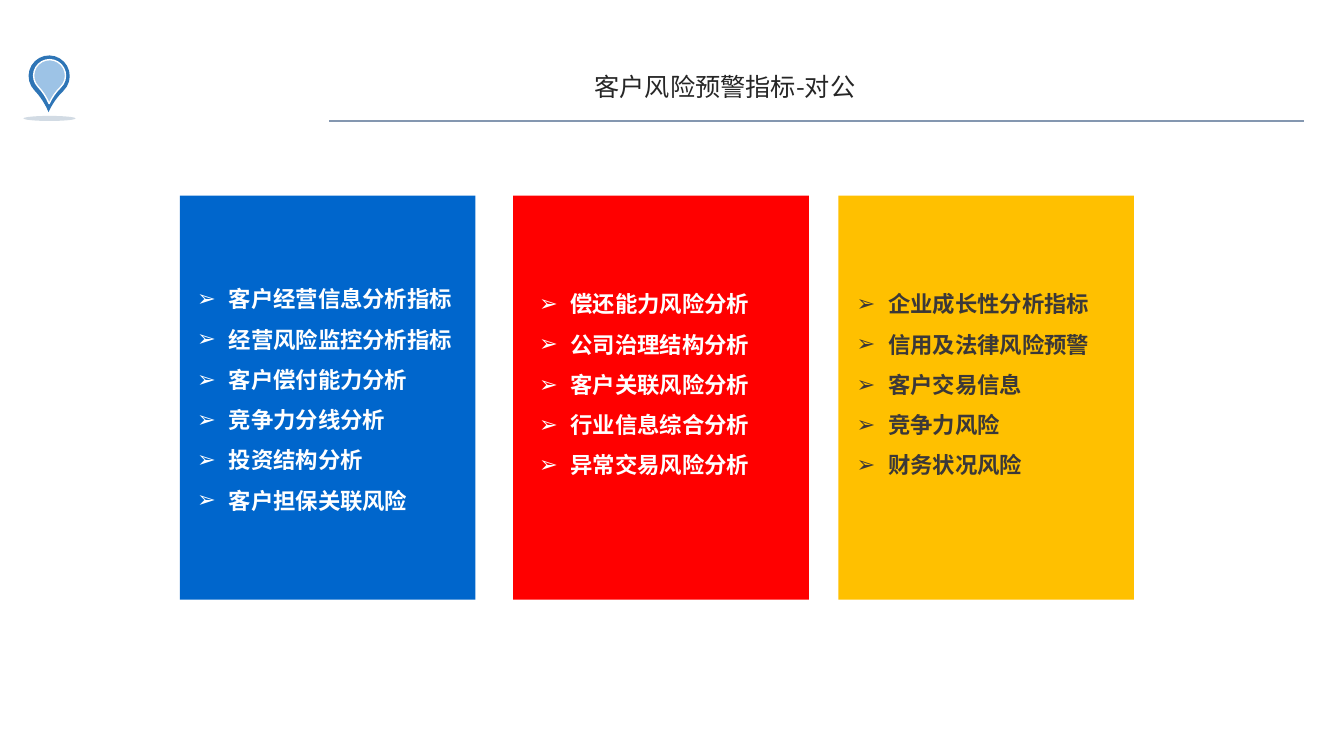
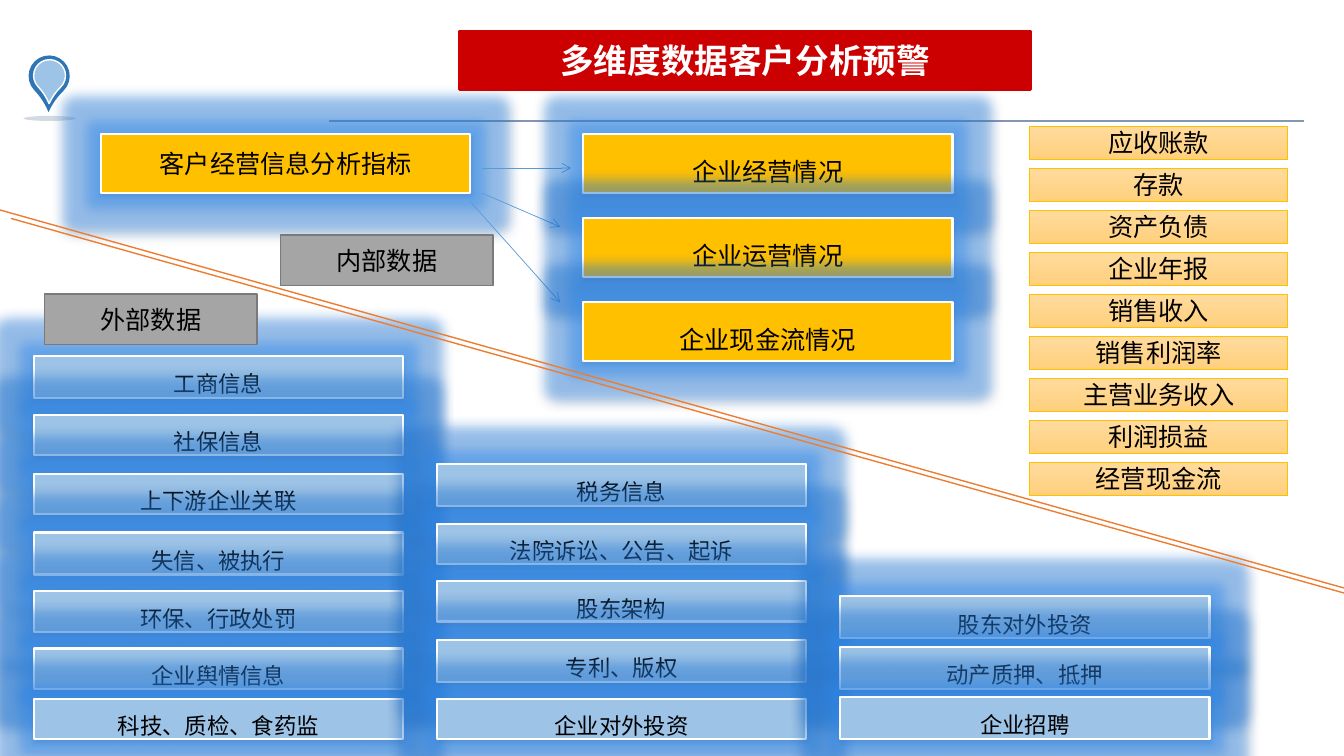
"""Builds two slides on early-warning indicators for customer risk."""
from lxml.etree import SubElement
from pptx import Presentation
from pptx.dml.color import RGBColor
from pptx.enum.shapes import MSO_CONNECTOR as Link, MSO_SHAPE as Kind
from pptx.enum.text import MSO_ANCHOR as Anchor, PP_ALIGN as Align
from pptx.oxml.ns import qn
from pptx.util import Pt

PX = 7620
WIDE, HIGH = 1600, 900
SANS, LATIN = "Noto Sans CJK SC", "Calibri"
HUE = {
    "white": "FFFFFF", "black": "000000", "ink": "262626", "dark": "3B3838",
    "pin": "2E75B6", "sky": "9DC3E6", "navy": "1F4E79", "rule": "8497B0",
    "blue": "0066CC", "red": "FF0000", "gold": "FFC000", "arrow": "5B9BD5",
    "glow": "3193FF", "light": "FFDB9E", "warm": "FFD07C", "split": "ED7D31",
    "gray": "A5A5A5", "edge": "7A7A7A", "crimson": "CC0000",
}

TITLE = "客户风险预警指标-对公"
CARDS = [
    (214, "blue", "white", (223, 318), [
        "客户经营信息分析指标", "经营风险监控分析指标", "客户偿付能力分析",
        "竞争力分线分析", "投资结构分析", "客户担保关联风险"]),
    (611, "red", "white", (630, 324), [
        "偿还能力风险分析", "公司治理结构分析", "客户关联风险分析",
        "行业信息综合分析", "异常交易风险分析"]),
    (998, "gold", "dark", (1008, 324), [
        "企业成长性分析指标", "信用及法律风险预警", "客户交易信息",
        "竞争力风险", "财务状况风险"]),
]

BANNER = "多维度数据客户分析预警"
TOPIC = "客户经营信息分析指标"
STATES = ["企业经营情况", "企业运营情况", "企业现金流情况"]
ARROWS = [(574, 200, 680, 200), (574, 230, 667, 270), (560, 240, 667, 360)]
ITEMS = ["应收账款", "存款", "资产负债", "企业年报", "销售收入", "销售利润率",
         "主营业务收入", "利润损益", "经营现金流"]
STACKS = [
    (40, [("工商信息", 424, 50), ("社保信息", 494, 48), ("上下游企业关联", 564, 48),
          ("失信、被执行", 634, 50), ("环保、行政处罚", 704, 48),
          ("企业舆情信息", 772, 48), ("科技、质检、食药监", 832, 48)]),
    (520, [("税务信息", 552, 50), ("法院诉讼、公告、起诉", 624, 48),
           ("股东架构", 692, 48), ("专利、版权", 762, 50), ("企业对外投资", 832, 48)]),
    (1000, [("股东对外投资", 710, 50), ("动产质押、抵押", 770, 50),
            ("企业招聘", 830, 50)]),
]
SPLITS = [(0, 250, 1600, 700), (13, 260, 1600, 706)]
TAGS = [("内部数据", 334, 280), ("外部数据", 53, 350)]


def rgb(name):
    return RGBColor.from_string(HUE[name])


def emu(box):
    return [n * PX for n in box]


def node(top, tag, **attrs):
    return SubElement(top, qn("a:" + tag), {k: str(v) for k, v in attrs.items()})


def tint(top, name, alpha):
    node(node(top, "srgbClr", val=HUE[name]), "alpha", val=alpha * 1000)


def style(para, size, color, bold=False, face=SANS, space=None):
    if space:
        para.line_spacing = space
    for run in para.runs:
        font = run.font
        font.size, font.bold, font.name = Pt(size), bold, face
        font.color.rgb = rgb(color)
        node(run.font._element, "ea", typeface=SANS)


def shape(slide, box, fill, line=None, weight=1, kind=Kind.RECTANGLE):
    form = slide.shapes.add_shape(kind, *emu(box))
    form.shadow.inherit = False
    if isinstance(fill, tuple):
        form.fill.gradient()
        form.fill.gradient_angle = 270
        for stop, name in zip(form.fill.gradient_stops, fill):
            stop.color.rgb = rgb(name)
    else:
        form.fill.solid()
        form.fill.fore_color.rgb = rgb(fill)
    if line:
        form.line.color.rgb = rgb(line)
        form.line.width = Pt(weight)
    else:
        form.line.fill.background()
    return form


def label(form, text, size, color="black", **look):
    frame = form.text_frame
    frame.word_wrap = True
    frame.vertical_anchor = Anchor.MIDDLE
    para = frame.paragraphs[0]
    para.text = text
    para.alignment = Align.CENTER
    style(para, size, color, **look)


def halo(slide, box, fill, text, size, space=1.5):
    form = shape(slide, box, fill, "white", 1.5)
    label(form, text, size, space=space)
    fx = form.element.spPr.find(qn("a:effectLst"))
    tint(node(fx, "glow", rad=Pt(18)), "glow", 40)
    tint(node(fx, "outerShdw", blurRad=Pt(3.1), dist=Pt(1.6), dir=5400000,
              rotWithShape=0), "black", 38)


def line(slide, ends, color, weight, head=False):
    link = slide.shapes.add_connector(Link.STRAIGHT, *emu(ends))
    link.line.color.rgb = rgb(color)
    link.line.width = Pt(weight)
    props = link.element.spPr
    if head:
        node(props.find(qn("a:ln")), "tailEnd", type="arrow")
    node(props, "effectLst")


def textbox(slide, box, texts, size, color, bullet=False, bold=False):
    frame = slide.shapes.add_textbox(*emu(box)).text_frame
    frame.word_wrap = True
    frame.text = "\n".join(texts)
    for para in frame.paragraphs:
        if bullet:
            props = para._p.get_or_add_pPr()
            props.set("marL", "285750")
            props.set("indent", "-285750")
            node(props, "buFont", typeface="Arial")
            node(props, "buChar", char="➢")
        style(para, size, color, bold, space=1.5)


def base(deck):
    slide = deck.slides.add_slide(deck.slide_layouts[6])
    for box, fill, edge in [((34, 66, 49, 49), "pin", None),
                            ((40, 71, 38, 38), "sky", "white")]:
        drop = shape(slide, box, fill, edge, kind=Kind.TEAR)
        drop.adjustments[0] = 1.24
        drop.rotation = 136
    oval = shape(slide, (28, 138, 62, 6), "navy", kind=Kind.OVAL)
    clr = oval.element.spPr.find(qn("a:solidFill")).find(qn("a:srgbClr"))
    node(clr, "alpha", val=20000)
    line(slide, (392, 144, 1553, 144), "rule", 2)
    return slide


def cards(deck):
    slide = base(deck)
    for left, fill, color, (x, y), texts in CARDS:
        shape(slide, (left, 233, 352, 481), fill)
        textbox(slide, (x, y, 340, 50 * len(texts)), texts, 16, color, True, True)
    textbox(slide, (696, 61, WIDE - 696, 67), [TITLE], 18, "ink")


def sources(deck):
    slide = base(deck)
    halo(slide, (120, 160, 440, 70), "gold", TOPIC, 18, None)
    for ends in ARROWS:
        line(slide, ends, "arrow", 0.5, True)
    for i, text in enumerate(STATES):
        halo(slide, (694, 160 + 100 * i, 440, 70), "gold", text, 18)
    for i, text in enumerate(ITEMS):
        form = shape(slide, (1226, 150 + 50 * i, 307, 40), ("light", "warm"), "gold", 0.5)
        label(form, text, 18, face=LATIN)
    for left, rows in STACKS:
        for text, top, high in rows:
            halo(slide, (left, top, 440, high), "sky", text, 16)
    for ends in SPLITS:
        line(slide, ends, "split", 1)
    for text, left, top in TAGS:
        label(shape(slide, (left, top, 253, 60), "gray", "edge"), text, 18, face=LATIN)
    form = shape(slide, (547, 37, 680, 70), "crimson", "crimson", 2)
    label(form, BANNER, 24, "white", bold=True, face=LATIN)


def main():
    deck = Presentation()
    deck.slide_width, deck.slide_height = emu((WIDE, HIGH))
    cards(deck)
    sources(deck)
    deck.save("out.pptx")


if __name__ == "__main__":
    main()
